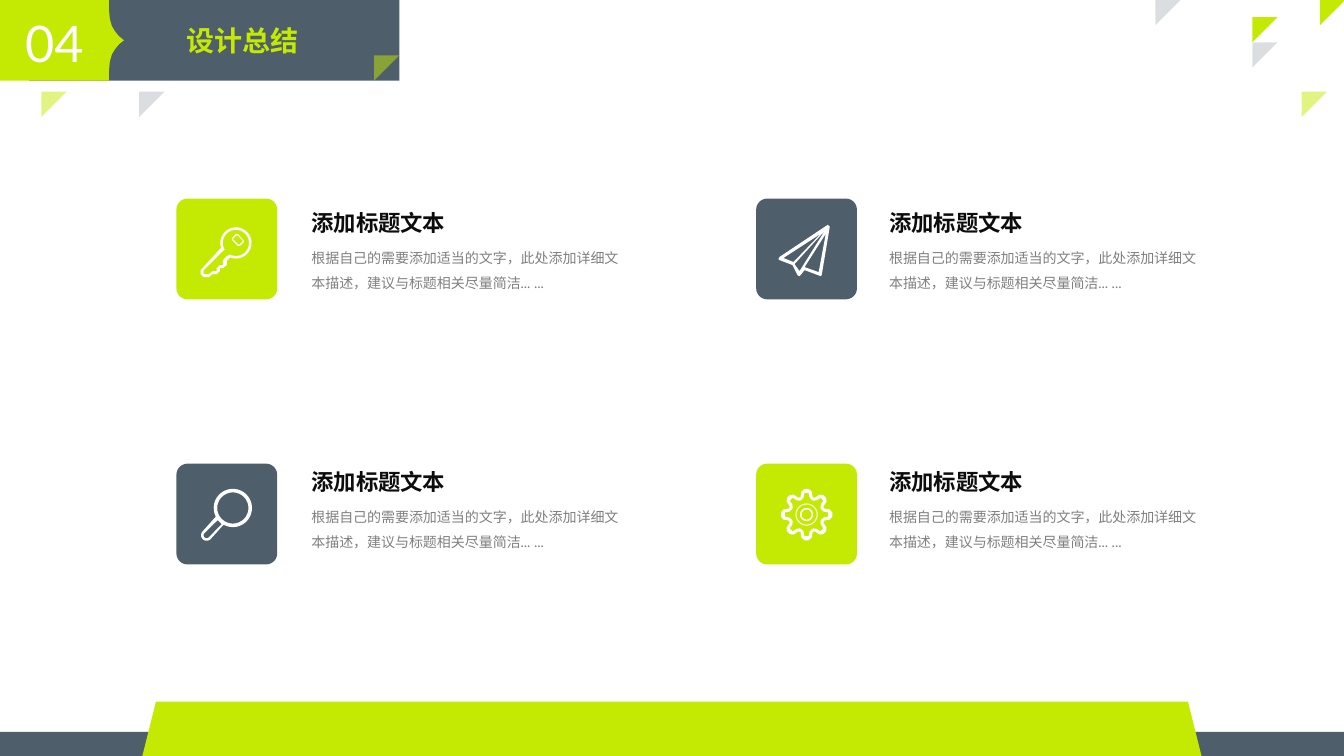
from math import cos, radians, sin

from lxml import etree
from pptx import Presentation
from pptx.dml.color import RGBColor
from pptx.enum.lang import MSO_LANGUAGE_ID
from pptx.enum.shapes import MSO_SHAPE
from pptx.enum.text import MSO_AUTO_SIZE, PP_ALIGN
from pptx.oxml.ns import qn
from pptx.util import Inches, Pt

TRIANGLE = MSO_SHAPE.RIGHT_TRIANGLE
ROUNDED = MSO_SHAPE.ROUNDED_RECTANGLE
TRAPEZOID = MSO_SHAPE.TRAPEZOID
FIT_SHAPE = MSO_AUTO_SIZE.SHAPE_TO_FIT_TEXT
LEFT, CENTER = PP_ALIGN.LEFT, PP_ALIGN.CENTER
CHINESE = MSO_LANGUAGE_ID.SIMPLIFIED_CHINESE

COLORS = {
    "lime": "C4E902",
    "slate": "4E5E6B",
    "white": "FFFFFF",
    "heading": "0D0D0D",
    "body": "808080",
}
FONT = "Lato"
HEADING = "添加标题文本"
BODY = "根据自己的需要添加适当的文字，此处添加详细文本描述，建议与标题相关尽量简洁... ..."


def arc(x, y, radius, start=0, end=360):
    """Points along an arc, in degrees clockwise from the right."""
    steps = 32
    angles = [radians(start + (end - start) * i / steps) for i in range(steps + 1)]
    return [(x + radius * cos(a), y + radius * sin(a)) for a in angles]


def ring(x, y, outer, inner):
    return [arc(x, y, outer), arc(x, y, inner)]


def gear_outline(x, y, tooth):
    """Repeat the top tooth eight times around the centre."""
    turns = [radians(45 * i) for i in range(8)]
    return [(x + dx * cos(a) - dy * sin(a), y + dx * sin(a) + dy * cos(a))
            for a in turns for dx, dy in tooth]


class SlideBuilder:
    def __init__(self, page):
        self.shapes = page.shapes

    def paint(self, shape, color, opacity=100):
        shape.shadow.inherit = False
        shape.fill.solid()
        shape.fill.fore_color.rgb = RGBColor.from_string(COLORS[color])
        shape.line.fill.background()
        if opacity < 100:
            value = shape.fill._xPr.find(".//" + qn("a:srgbClr"))
            etree.SubElement(value, qn("a:alpha"), val=str(opacity * 1000))

    def preset(self, kind, x, y, width, height, color, opacity=100, corner=None):
        shape = self.shapes.add_shape(
            kind, Inches(x), Inches(y), Inches(width), Inches(height))
        if corner is not None:
            shape.adjustments[0] = corner
        self.paint(shape, color, opacity)
        return shape

    def corner_triangle(self, x, y, color, opacity=100):
        shape = self.preset(TRIANGLE, x, y, 0.25, 0.25, color, opacity)
        shape.rotation = 90

    def outline(self, contours, color):
        """Draw closed contours as one shape; inner contours become holes."""
        scaled = [[(Inches(x), Inches(y)) for x, y in points] for points in contours]
        builder = self.shapes.build_freeform(*scaled[0][0])
        for index, points in enumerate(scaled):
            if index:
                builder.move_to(*points[0])
            builder.add_line_segments(points[1:], close=True)
        self.paint(builder.convert_to_shape(), color)

    def text(self, text, x, y, width, height, size, color,
             bold=False, align=LEFT, spacing=None, wrap=True):
        box = self.shapes.add_textbox(Inches(x), Inches(y), Inches(width), Inches(height))
        frame = box.text_frame
        frame.word_wrap = wrap
        frame.auto_size = FIT_SHAPE
        para = frame.paragraphs[0]
        para.alignment = align
        if spacing:
            para.line_spacing = spacing
        span = para.add_run()
        span.text = text
        font = span.font
        font.name, font.size, font.bold = FONT, Pt(size), bold
        font.color.rgb = RGBColor.from_string(COLORS[color])
        font.language_id = CHINESE
        etree.SubElement(font._element, qn("a:ea"), typeface=FONT)


KEY = [
    arc(2.34, 2.41, 0.155, 162, 472) + [
        (2.25, 2.59), (2.25, 2.63), (2.21, 2.66), (2.18, 2.66), (2.18, 2.69),
        (2.15, 2.72), (2.11, 2.72), (2.07, 2.75), (2.02, 2.75), (1.99, 2.72),
        (1.99, 2.68)],
    arc(2.34, 2.41, 0.13, 150, 478) + [
        (2.25, 2.54), (2.22, 2.57), (2.21, 2.59), (2.21, 2.63), (2.18, 2.63),
        (2.15, 2.66), (2.15, 2.69), (2.11, 2.69), (2.07, 2.72), (2.02, 2.72),
        (2.02, 2.68)],
]
KEY_HOLE = [
    [(2.3, 2.36), (2.34, 2.32), (2.36, 2.32), (2.42, 2.39), (2.42, 2.4),
     (2.38, 2.44), (2.36, 2.44), (2.3, 2.38)],
    [(2.31, 2.37), (2.35, 2.33), (2.41, 2.39), (2.37, 2.43)],
]
PAPER_PLANE = [
    [(8.21, 2.23), (8.23, 2.25), (8.15, 2.73), (8.14, 2.74), (7.98, 2.68),
     (7.94, 2.73), (7.93, 2.74), (7.91, 2.73), (7.86, 2.63), (7.73, 2.58),
     (7.72, 2.57), (7.73, 2.55)],
    [(8.12, 2.7), (7.98, 2.65), (8.19, 2.32)],
    [(7.88, 2.62), (8.18, 2.29), (7.93, 2.69)],
    [(7.77, 2.56), (8.14, 2.32), (7.87, 2.6)],
]
MAGNIFIER = [
    arc(2.31, 5.04, 0.19, 153, 479) + arc(2.05, 5.31, 0.055, 45, 225),
    arc(2.31, 5.04, 0.155),
    [(2.16, 5.16), (2.2, 5.2)] + arc(2.05, 5.31, 0.03, 45, 225),
]
GEAR_CENTER = (8, 5.105)
GEAR = [
    gear_outline(*GEAR_CENTER, [
        (-0.06, -0.175), (-0.05, -0.23), (-0.02, -0.255),
        (0.02, -0.255), (0.05, -0.23), (0.06, -0.175)]),
    gear_outline(*GEAR_CENTER, [
        (-0.05, -0.145), (-0.03, -0.17), (-0.02, -0.215),
        (0.02, -0.215), (0.03, -0.17), (0.05, -0.145)]),
]
TRIANGLES = [
    (13.09, 0, "lime", 100), (12.42, 0.42, "slate", 20), (12.91, 0.91, "lime", 50),
    (12.42, 0.17, "lime", 100), (11.46, 0, "slate", 20),
    (0.41, 0.91, "lime", 50), (1.38, 0.91, "slate", 20),
]
# Column, row, tile colour and the icon's parts
CARDS = [
    (0, 0, "lime", [KEY, KEY_HOLE]),
    (1, 0, "slate", [PAPER_PLANE]),
    (0, 1, "slate", [MAGNIFIER]),
    (1, 1, "lime", [GEAR, ring(*GEAR_CENTER, 0.11, 0.1),
                    ring(*GEAR_CENTER, 0.065, 0.05)]),
]


def draw_frame(builder):
    for triangle in TRIANGLES:
        builder.corner_triangle(*triangle)
    builder.preset(ROUNDED, 0, 7.26, 13.33, 0.24, "slate", corner=0)
    builder.preset(TRAPEZOID, 1.38, 6.96, 10.57, 0.67, "lime", corner=0.25)
    builder.preset(ROUNDED, 0.29, 0, 3.67, 0.8, "slate", corner=0)
    bulge = [(1.08, 0), (1.08, 0.08), (1.09, 0.19), (1.11, 0.26),
             (1.14, 0.31), (1.18, 0.36), (1.23, 0.4)]
    mirrored = [(x, 0.8 - y) for x, y in reversed(bulge[:-1])]
    builder.outline([[(0, 0)] + bulge + mirrored + [(0, 0.8)]], "lime")
    builder.corner_triangle(3.71, 0.55, "lime", 50)
    builder.text("04", 0.11, 0.07, 0.86, 0.71, 36, "white", align=CENTER, wrap=False)
    builder.text("设计总结", 1.75, 0.18, 1.76, 0.44, 20, "lime", bold=True)


def draw_card(builder, column, row, color, icon):
    text_x, text_y = 2.99 + 5.73 * column, 2.03 + 2.57 * row
    builder.preset(ROUNDED, 1.75 + 5.75 * column, 1.97 + 2.63 * row, 1, 1,
                   color, corner=0.11)
    for part in icon:
        builder.outline(part, "white")
    builder.text(BODY, text_x, text_y + 0.31, 3.24, 0.58, 10, "body", spacing=1.5)
    builder.text(HEADING, text_x, text_y, 2.44, 0.37, 16, "heading", bold=True)


def main():
    deck = Presentation()
    deck.slide_width, deck.slide_height = Inches(13.33), Inches(7.5)
    builder = SlideBuilder(deck.slides.add_slide(deck.slide_layouts[6]))
    draw_frame(builder)
    for card in CARDS:
        draw_card(builder, *card)
    deck.save("out.pptx")


if __name__ == "__main__":
    main()
